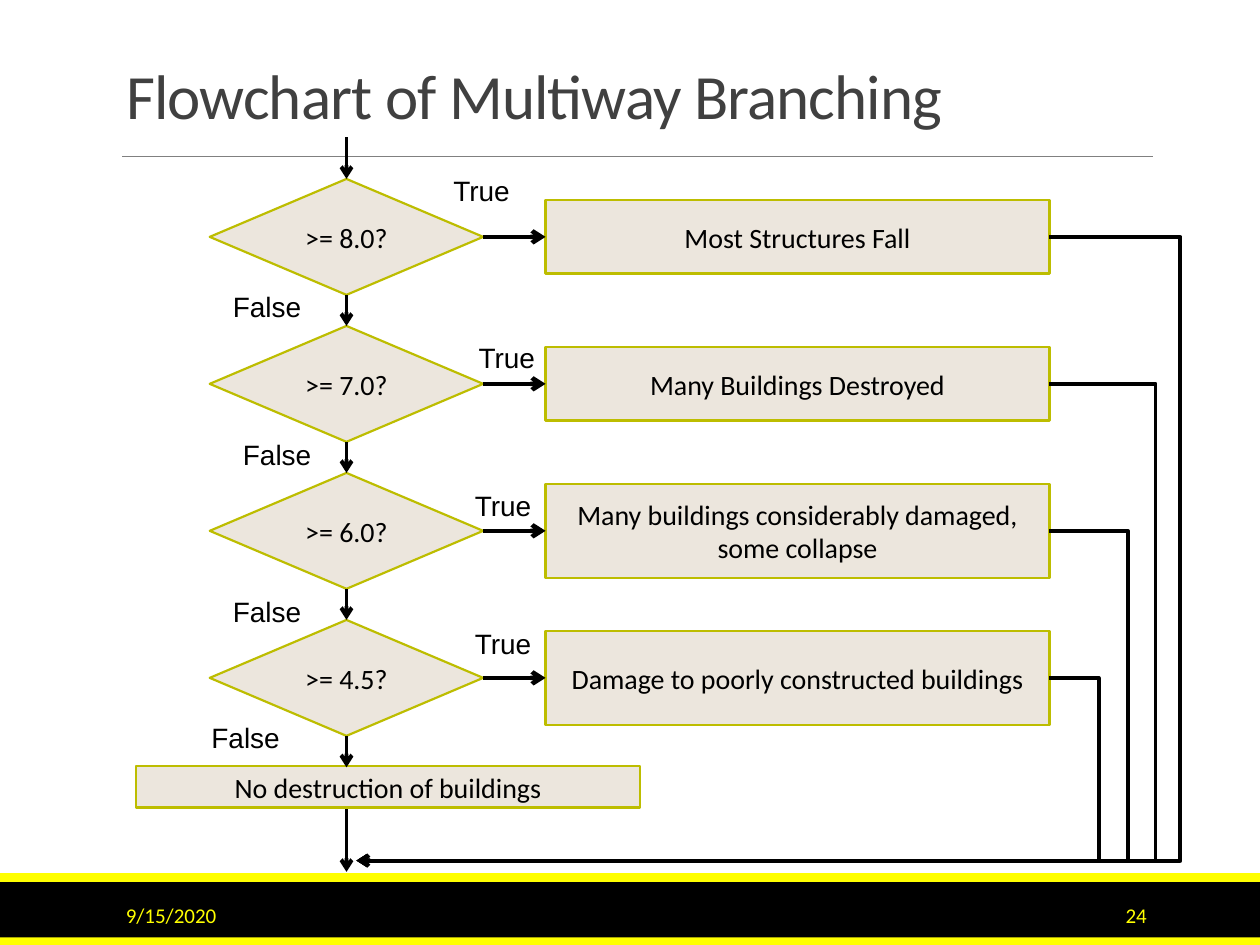
import pptx
import pptx.util
import pptx.dml.color
import pptx.enum.shapes
import pptx.enum.text
import pptx.oxml.ns
import lxml.etree

Inches, Pt = pptx.util.Inches, pptx.util.Pt
RGBColor = pptx.dml.color.RGBColor
SHAPE = pptx.enum.shapes.MSO_SHAPE
CONNECTOR = pptx.enum.shapes.MSO_CONNECTOR
ALIGN = pptx.enum.text.PP_ALIGN
ANCHOR = pptx.enum.text.MSO_ANCHOR
AUTO = pptx.enum.text.MSO_AUTO_SIZE
qn = pptx.oxml.ns.qn

BLACK = RGBColor(0x00, 0x00, 0x00)
YELLOW = RGBColor(0xFF, 0xFF, 0x00)
GREY = RGBColor(0x80, 0x80, 0x80)
TITLE_GREY = RGBColor(0x40, 0x40, 0x40)
BEIGE = RGBColor(0xEC, 0xE6, 0xDD)
OLIVE = RGBColor(0xBD, 0xBD, 0x00)

prs = pptx.Presentation()
prs.slide_width, prs.slide_height = Inches(10), Inches(7.5)
s = prs.slides.add_slide(prs.slide_layouts[5])


def add_text(sp, text, size, color, font="Calibri", align=ALIGN.LEFT, anchor=ANCHOR.MIDDLE):
    """Write one formatted paragraph into a shape and return its paragraph."""
    tf = sp.text_frame
    tf.text = text
    tf.word_wrap = True
    tf.vertical_anchor = anchor
    p = tf.paragraphs[0]
    p.alignment = align
    f = p.runs[0].font
    f.name, f.size, f.color.rgb = font, Pt(size), color
    return p


def add_line(kind, x1, y1, x2, y2, width=2.25, color=BLACK, arrow=True):
    c = s.shapes.add_connector(kind, Inches(x1), Inches(y1), Inches(x2), Inches(y2))
    c.line.color.rgb = color
    c.line.width = Pt(width)
    if arrow:
        lxml.etree.SubElement(c.line._get_or_add_ln(), qn("a:tailEnd"), type="arrow")
    lxml.etree.SubElement(c._element.spPr, qn("a:effectLst"))
    return c


# Footer bands and title rule
for top, height, color in [(7, 0.5, BLACK), (6.93, 0.07, YELLOW), (7.44, 0.07, YELLOW)]:
    band = s.shapes.add_shape(SHAPE.RECTANGLE, 0, Inches(top), prs.slide_width, Inches(height))
    band.shadow.inherit = False
    band.fill.solid()
    band.fill.fore_color.rgb = color
    band.line.fill.background()
add_line(CONNECTOR.STRAIGHT, 0.97, 1.24, 9.15, 1.24, 0.5, GREY, arrow=False)

# Title
title = s.shapes.title
title.left, title.top, title.width, title.height = Inches(0.9), Inches(0.31), Inches(8.25), Inches(0.79)
p = add_text(title, "Flowchart of Multiway Branching", 36, TITLE_GREY, anchor=ANCHOR.BOTTOM)
p.line_spacing = 0.85
p.runs[0].font._element.set("spc", "-50")
title.text_frame.auto_size = AUTO.NONE

# Boxes: one decision and one outcome per row, then the final outcome
AXIS, FIRST_ROW, ROW_STEP = 2.75, 1.88, 3.5 / 3
DECISION_W, DECISION_H = 2.17, 0.92
OUTCOME_X, OUTCOME_W = 4.33, 4
MERGE_X, MERGE_Y = 2.83, 6.83

rows = [  # question, outcome, outcome height, True label, False label, return lane x
    (">= 8.0?", "Most Structures Fall", 0.58, (3.5, 1.33), (1.75, 2.25), 9.37),
    (">= 7.0?", "Many Buildings Destroyed", 0.58, (3.7, 2.65), (1.83, 3.42), 9.17),
    (">= 6.0?", "Many buildings considerably damaged, some collapse", 0.75, (3.67, 3.83), (1.75, 4.67), 8.95),
    (">= 4.5?", "Damage to poorly constructed buildings", 0.75, (3.67, 4.92), (1.58, 5.67), 8.72),
]
boxes = []
for i, (question, outcome, height, *_) in enumerate(rows):
    y = FIRST_ROW + i * ROW_STEP
    boxes += [
        (SHAPE.FLOWCHART_DECISION, question, AXIS - DECISION_W / 2, y - DECISION_H / 2, DECISION_W, DECISION_H),
        (SHAPE.FLOWCHART_PROCESS, outcome, OUTCOME_X, y - height / 2, OUTCOME_W, height),
    ]
boxes.append((SHAPE.FLOWCHART_PROCESS, "No destruction of buildings", 1.08, 6.08, OUTCOME_W, 0.33))

nodes = []
for kind, text, x, y, w, h in boxes:
    sp = s.shapes.add_shape(kind, Inches(x), Inches(y), Inches(w), Inches(h))
    sp.shadow.inherit = False
    sp.fill.solid()
    sp.fill.fore_color.rgb = BEIGE
    sp.line.color.rgb = OLIVE
    sp.line.width = Pt(1.25)
    add_text(sp, text, 16, BLACK, align=ALIGN.CENTER)
    nodes.append(sp)
decisions, outcomes = nodes[0:8:2], nodes[1:8:2]

# Arrows and branch labels
add_line(CONNECTOR.STRAIGHT, AXIS, 1.09, AXIS, 1.42).end_connect(decisions[0], 0)
for i, (_, _, _, true_at, false_at, lane_x) in enumerate(rows):
    y = FIRST_ROW + i * ROW_STEP
    c = add_line(CONNECTOR.STRAIGHT, AXIS + DECISION_W / 2, y, OUTCOME_X, y, 2.5)
    c.begin_connect(decisions[i], 3)
    c.end_connect(outcomes[i], 1)

    bottom = y + DECISION_H / 2
    c = add_line(CONNECTOR.STRAIGHT, AXIS, bottom, AXIS, bottom + 0.25)
    c.begin_connect(decisions[i], 2)
    if i + 1 < len(rows):
        c.end_connect(decisions[i + 1], 0)

    right = OUTCOME_X + OUTCOME_W
    c = add_line(CONNECTOR.ELBOW, right, y, MERGE_X, MERGE_Y)
    c.begin_connect(outcomes[i], 3)
    bend = round((right - lane_x) / (right - MERGE_X) * 100000)
    guides = c._element.spPr.find(qn("a:prstGeom")).get_or_add_avLst()
    lxml.etree.SubElement(guides, qn("a:gd"), name="adj1", fmla=f"val {bend}")

    for text, (x, top), width in [("True", true_at, 0.65), ("False", false_at, 0.75)]:
        label = s.shapes.add_textbox(Inches(x), Inches(top), Inches(width), Inches(0.37))
        add_text(label, text, 16, BLACK, "Arial", anchor=ANCHOR.TOP)
        label.text_frame.word_wrap = False
        label.text_frame.auto_size = AUTO.SHAPE_TO_FIT_TEXT
add_line(CONNECTOR.STRAIGHT, AXIS, 6.42, AXIS, 6.92)

# Date and slide number
for text, x, width, align in [("9/15/2020", 0.9, 2.03, ALIGN.LEFT), ("24", 8.12, 1.08, ALIGN.RIGHT)]:
    footer = s.shapes.add_textbox(Inches(x), Inches(7.06), Inches(width), Inches(0.4))
    add_text(footer, text, 12, YELLOW, align=align)

prs.save("out.pptx")
